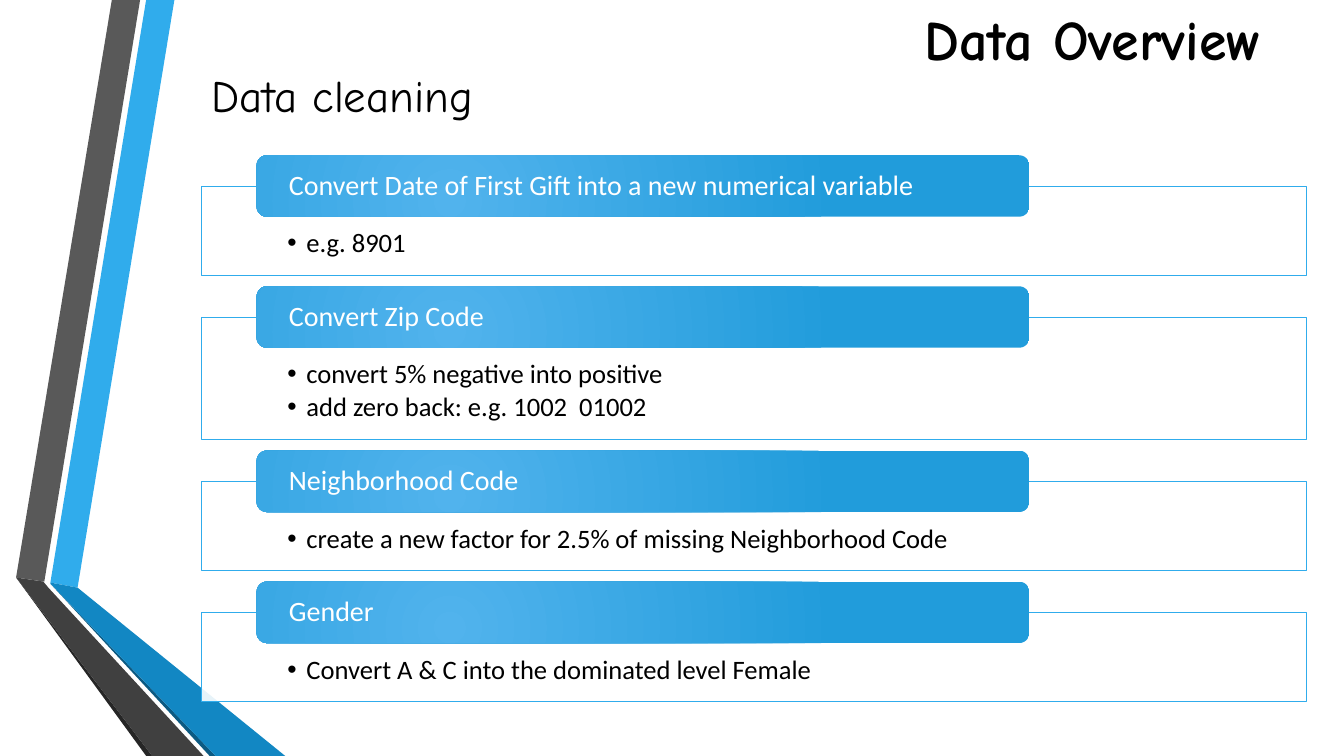
from lxml import etree
from pptx import Presentation
from pptx.dml.color import RGBColor
from pptx.enum.shapes import MSO_SHAPE as SHAPE
from pptx.enum.text import MSO_ANCHOR as ANCHOR, PP_ALIGN as ALIGN
from pptx.oxml.ns import qn
from pptx.util import Emu, Inches, Pt

BLACK = RGBColor(0x00, 0x00, 0x00)
WHITE = RGBColor(0xFF, 0xFF, 0xFF)
SKY = RGBColor(0x30, 0xAC, 0xEC)
GLOW = RGBColor(0x51, 0xB3, 0xED)
AZURE = RGBColor(0x21, 0x9C, 0xDB)
BLUE = RGBColor(0x12, 0x87, 0xC3)
NAVY = RGBColor(0x0C, 0x5A, 0x82)
GREY = RGBColor(0x59, 0x59, 0x59)
CHARCOAL = RGBColor(0x40, 0x40, 0x40)
INK = RGBColor(0x26, 0x26, 0x26)

prs = Presentation()
prs.slide_width, prs.slide_height = Inches(13.33), Inches(7.5)
W = prs.slide_width
slide = prs.slides.add_slide(prs.slide_layouts[5])
shapes = slide.shapes


def add_run(p, text, size, font, color, bold=False):
    r = p.add_run()
    r.text = text
    r.font.size, r.font.name, r.font.bold = Pt(size), font, bold
    r.font.color.rgb = color


def set_frame(tf, anchor, left, top, right, bottom):
    """Wrap the text, anchor it and set its insets in inches."""
    tf.word_wrap = True
    tf.vertical_anchor = anchor
    tf.margin_left, tf.margin_top = Inches(left), Inches(top)
    tf.margin_right, tf.margin_bottom = Inches(right), Inches(bottom)


# Folded ribbons along the left edge
ribbons = [
    (SKY, [(0.5, 5.78), (0.77, 5.83), (1.73, 0), (1.45, 0)]),
    (GREY, [(1.39, 0), (1.11, 0), (0.16, 5.73), (0.44, 5.77)]),
    (INK, [(0.16, 5.73), (1.45, 7.5), (1.51, 7.5)]),
    (NAVY, [(0.5, 5.79), (2.08, 7.5), (2.14, 7.5)]),
    (BLUE, [(0.5, 5.79), (2.14, 7.5), (2.83, 7.5), (0.77, 5.83), (0.5, 5.78)]),
    (CHARCOAL, [(2.02, 7.5), (0.48, 5.83), (0.43, 5.77), (0.16, 5.73), (1.51, 7.5)]),
]
for color, points in ribbons:
    corners = [(Inches(x), Inches(y)) for x, y in points]
    builder = shapes.build_freeform(*corners[0])
    builder.add_line_segments(corners[1:], close=True)
    sp = builder.convert_to_shape()
    sp.shadow.inherit = False
    sp.fill.solid()
    sp.fill.fore_color.rgb = color
    sp.line.fill.background()

# Title and subtitle
title = shapes.title
title.left, title.top = Inches(9.07), Inches(0.01)
title.width, title.height = Inches(4.16), Inches(0.74)
set_frame(title.text_frame, ANCHOR.MIDDLE, 0.1, 0, 0.1, 0)
p = title.text_frame.paragraphs[0]
p.alignment = ALIGN.LEFT
add_run(p, "Data Overview", 40, "Comic Neue", BLACK, bold=True)

panel_left, panel_width = Emu(int(W * 0.15)), Emu(int(W * 0.822))
header_left, header_width = Emu(int(W * 0.191)), Emu(int(W * 0.575))

subtitle = shapes.add_textbox(panel_left, Inches(0.62), Inches(2.98), Inches(0.64))
set_frame(subtitle.text_frame, ANCHOR.TOP, 0.1, 0.05, 0.1, 0.05)
add_run(subtitle.text_frame.paragraphs[0], "Data cleaning", 32, "Comic Neue", BLACK)

# Cleaning steps: a header pill straddling the top edge of each panel
steps = [
    ("Convert Date of First Gift into a new numerical variable", ["e.g. 8901"]),
    ("Convert Zip Code",
     ["convert 5% negative into positive", "add zero back: e.g. 1002  01002"]),
    ("Neighborhood Code",
     ["create a new factor for 2.5% of missing Neighborhood Code"]),
    ("Gender", ["Convert A & C into the dominated level Female"]),
]
HEADER_H, OVERLAP, GAP = 0.61, 0.31, 0.11
PANEL_BASE, LINE_H = 0.55, 0.33

top = 1.54
for heading, bullets in steps:
    panel_h = PANEL_BASE + LINE_H * len(bullets)
    panel = shapes.add_shape(SHAPE.RECTANGLE, panel_left, Inches(top + OVERLAP),
                             panel_width, Inches(panel_h))
    panel.shadow.inherit = False
    panel.fill.solid()
    panel.fill.fore_color.rgb = WHITE
    solid = panel.fill._xPr.find(qn("a:solidFill"))
    etree.SubElement(solid[0], qn("a:alpha"), val="90000")
    panel.line.color.rgb = SKY
    panel.line.width = Pt(0.75)
    tf = panel.text_frame
    set_frame(tf, ANCHOR.TOP, 0.85, 0.43, 0.85, 0.05)
    for i, bullet in enumerate(bullets):
        p = tf.add_paragraph() if i else tf.paragraphs[0]
        p.alignment, p.line_spacing, p.space_after = ALIGN.LEFT, 0.9, Pt(3)
        pPr = p._p.get_or_add_pPr()
        pPr.set("marL", str(Inches(0.19)))
        pPr.set("indent", str(-Inches(0.19)))
        etree.SubElement(pPr, qn("a:buFont"), typeface="Arial")
        etree.SubElement(pPr, qn("a:buChar"), char="•")
        add_run(p, bullet, 19, "Calibri", BLACK)

    header = shapes.add_shape(SHAPE.ROUNDED_RECTANGLE, header_left, Inches(top),
                              header_width, Inches(HEADER_H))
    header.shadow.inherit = False
    header.line.fill.background()
    header.fill.gradient()
    for stop, color in zip(header.fill.gradient_stops, (GLOW, AZURE)):
        stop.color.rgb = color
    grad = header.fill._xPr.find(qn("a:gradFill"))
    grad.remove(grad.find(qn("a:lin")))
    circle = etree.SubElement(grad, qn("a:path"), path="circle")
    etree.SubElement(circle, qn("a:fillToRect"),
                     l="50000", t="100000", r="100000", b="50000")
    set_frame(header.text_frame, ANCHOR.MIDDLE, 0.29, 0, 0.29, 0)
    p = header.text_frame.paragraphs[0]
    p.alignment, p.line_spacing = ALIGN.LEFT, 0.9
    add_run(p, heading, 20, "Calibri", WHITE)

    top += OVERLAP + panel_h + GAP

prs.save("out.pptx")
